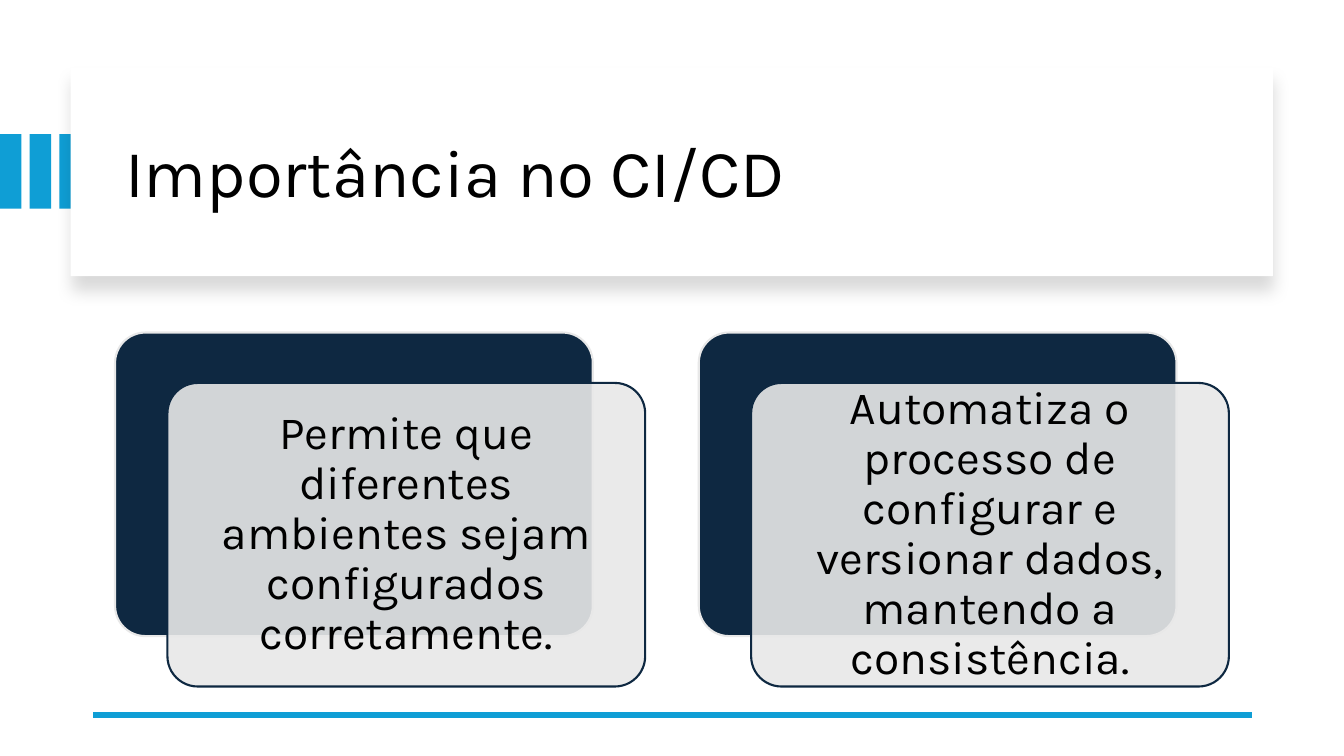
from lxml import etree
from pptx import Presentation, util as u
from pptx.dml.color import RGBColor
from pptx.enum import shapes, text
from pptx.oxml import parse_xml
from pptx.oxml.ns import nsdecls, qn

Cm, Pt = u.Cm, u.Pt
COLORS = {"accent": "0F9ED5", "navy": "0E2841", "grey": "E8E8E8",
          "white": "FFFFFF", "black": "000000"}


def add_box(preset, left, top, width, height, fill, line=None):
    box = slide.shapes.add_shape(preset, Cm(left), Cm(top), Cm(width), Cm(height))
    box.shadow.inherit = False
    box.fill.solid()
    box.fill.fore_color.rgb = RGBColor.from_string(COLORS[fill])
    if line:
        box.line.color.rgb = RGBColor.from_string(COLORS[line])
        box.line.width = Pt(1.5)
        box.adjustments[0] = 0.1
    else:
        box.line.fill.background()
    return box


def write(shape, words, size, align):
    frame = shape.text_frame
    frame.text = words
    frame.word_wrap = True
    frame.auto_size = text.MSO_AUTO_SIZE.NONE
    frame.vertical_anchor = text.MSO_ANCHOR.MIDDLE
    paragraph = frame.paragraphs[0]
    paragraph.alignment = align
    paragraph.line_spacing = 0.9
    font = paragraph.runs[0].font
    font.name = "Karla"
    font.size = Pt(size)
    font.color.rgb = RGBColor.from_string(COLORS["black"])


prs = Presentation()
prs.slide_width, prs.slide_height = Cm(33.87), Cm(19.05)
slide = prs.slides.add_slide(prs.slide_layouts[5])
RECT = shapes.MSO_SHAPE.RECTANGLE
ROUNDED = shapes.MSO_SHAPE.ROUNDED_RECTANGLE

# Accent bars at the left edge
for i in range(3):
    add_box(RECT, i * 0.75, 3.38, 0.54, 1.88, "accent")

# Title panel with a soft shadow below
panel = add_box(RECT, 1.78, 1.7, 30.3, 5.26, "white")
effects = panel._element.spPr.find(qn("a:effectLst"))
effects.append(parse_xml(
    f'<a:outerShdw {nsdecls("a")} blurRad="{Pt(11)}" dist="{Pt(10)}" dir="5400000" '
    f'algn="t" rotWithShape="0"><a:srgbClr val="{COLORS["black"]}">'
    '<a:alpha val="15000"/></a:srgbClr></a:outerShdw>'))

# Title, brought in front of the panel
title = slide.shapes.title
title.left, title.top, title.width, title.height = Cm(2.9), Cm(2.26), Cm(28.27), Cm(4.32)
write(title, "Importância no CI/CD", 48, text.PP_ALIGN.LEFT)
panel._element.addnext(title._element)

# Bottom rule
rule = slide.shapes.add_connector(shapes.MSO_CONNECTOR.STRAIGHT,
                                  Cm(31.55), Cm(18.02), Cm(2.34), Cm(18.02))
rule.line.color.rgb = RGBColor.from_string(COLORS["accent"])
rule.line.width = Pt(4.5)
etree.SubElement(rule._element.spPr, qn("a:effectLst"))

# Cards: navy back and translucent front holding the text
reasons = [
    "Permite que diferentes ambientes sejam configurados corretamente.",
    "Automatiza o processo de configurar e versionar dados, mantendo a consistência.",
]
for i, reason in enumerate(reasons):
    left = 2.9 + i * 14.71
    add_box(ROUNDED, left, 8.38, 12.04, 7.65, "navy", "grey")
    front = add_box(ROUNDED, left + 1.32, 9.65, 12.04, 7.65, "grey", "navy")
    tint = front._element.spPr.find(qn("a:solidFill"))[0]
    etree.SubElement(tint, qn("a:alpha"), val="90000")
    frame = front.text_frame
    frame.margin_left = frame.margin_right = Cm(0.4)
    frame.margin_top = frame.margin_bottom = Cm(0.4)
    write(front, reason, 33, text.PP_ALIGN.CENTER)

prs.save("out.pptx")
